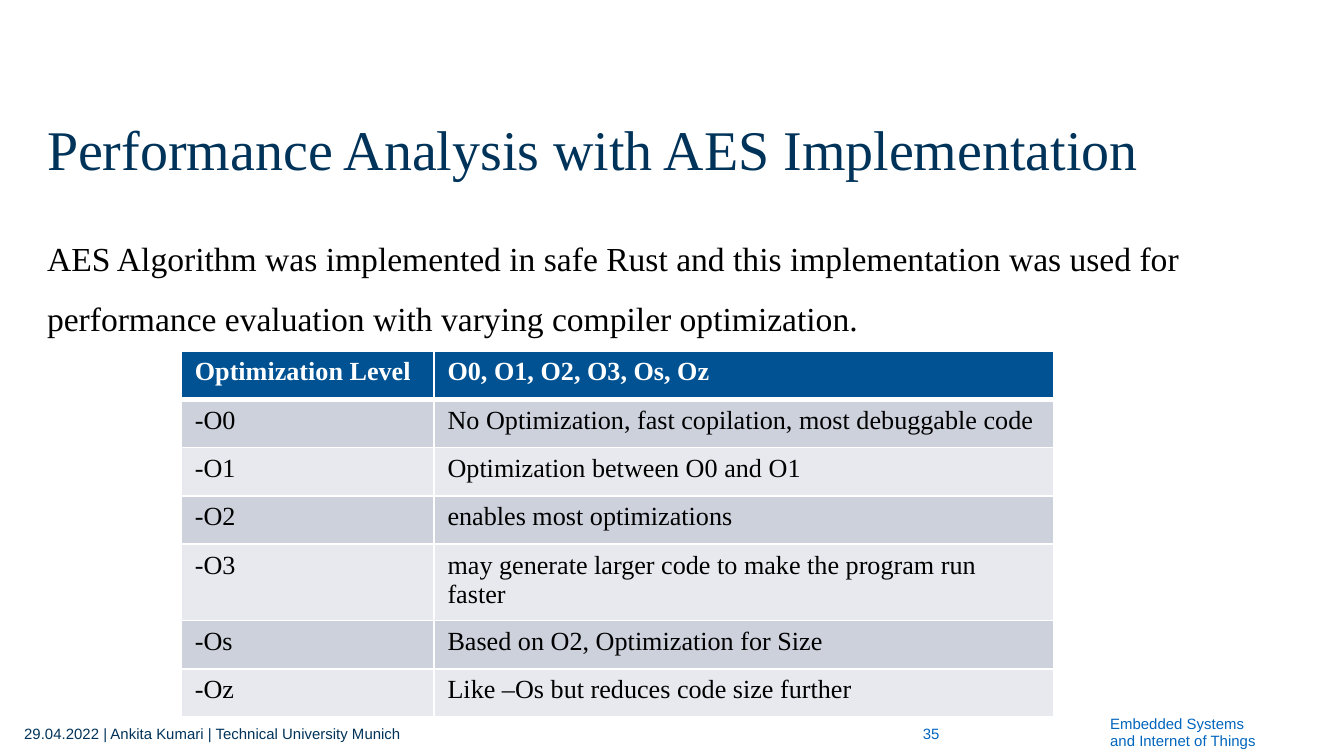
from lxml import etree
from pptx import Presentation
from pptx.dml.color import RGBColor
from pptx.enum.text import MSO_ANCHOR, PP_ALIGN
from pptx.oxml.ns import qn
from pptx.util import Inches, Pt

TOP, MIDDLE = MSO_ANCHOR.TOP, MSO_ANCHOR.MIDDLE
LEFT, RIGHT = PP_ALIGN.LEFT, PP_ALIGN.RIGHT
SERIF, SANS = "Times New Roman", "Arial"
COLORS = {
    "navy": "003359",
    "blue": "0065BD",
    "header": "005293",
    "band_dark": "CCD1DC",
    "band_light": "E7E9EE",
    "black": "000000",
    "white": "FFFFFF",
}


class SlideBuilder:
    """Holds the colours and the current slide."""

    def __init__(self, slide, colors):
        self.slide = slide
        self.colors = colors

    def color(self, name):
        return RGBColor.from_string(self.colors[name])

    def style(self, paragraph, font, size, color, bold=False):
        paragraph.font.name = font
        paragraph.font.size = Pt(size)
        paragraph.font.bold = bold
        paragraph.font.color.rgb = self.color(color)

    def text(self, box, lines, font, size, color, spacing=1.0,
             align=LEFT, anchor=TOP, inset=0):
        shape = self.slide.shapes.add_textbox(*map(Inches, box))
        frame = shape.text_frame
        frame.word_wrap = True
        frame.vertical_anchor = anchor
        frame.margin_left = frame.margin_right = 0
        frame.margin_top = frame.margin_bottom = Inches(inset)
        frame.text = "\n".join(lines)
        for paragraph in frame.paragraphs:
            paragraph.alignment = align
            paragraph.line_spacing = spacing
            self.style(paragraph, font, size, color)

    def borders(self, cell, top, bottom):
        properties = cell._tc.get_or_add_tcPr()
        widths = {"a:lnL": 1, "a:lnR": 1, "a:lnT": top, "a:lnB": bottom}
        for index, (tag, width) in enumerate(widths.items()):
            line = etree.Element(qn(tag), w=str(Pt(width)))
            fill = etree.SubElement(line, qn("a:solidFill"))
            etree.SubElement(fill, qn("a:srgbClr"), val=self.colors["white"])
            properties.insert(index, line)

    def table(self, left, top, widths, heights, rows):
        table = self.slide.shapes.add_table(
            len(rows), len(widths), Inches(left), Inches(top),
            Inches(sum(widths)), Inches(sum(heights))).table
        for column, width in zip(table.columns, widths):
            column.width = Inches(width)
        for index, (row, height, texts) in enumerate(
                zip(table.rows, heights, rows)):
            row.height = Inches(height)
            header = index == 0
            band = "band_dark" if index % 2 else "band_light"
            for cell, text in zip(row.cells, texts):
                cell.text = text
                cell.fill.solid()
                cell.fill.fore_color.rgb = self.color(
                    "header" if header else band)
                self.style(cell.text_frame.paragraphs[0], SERIF, 14,
                           "white" if header else "black", header)
                # The rule under the header is thicker, seen from both rows
                self.borders(cell, top=3 if index == 1 else 1,
                             bottom=3 if header else 1)


def main():
    presentation = Presentation()
    # A 16:9 slide, ten inches wide
    presentation.slide_width = Inches(10)
    presentation.slide_height = Inches(10) * 9 // 16
    slide = presentation.slides.add_slide(presentation.slide_layouts[6])
    builder = SlideBuilder(slide, COLORS)

    # Title and introduction
    builder.text((0.35, 0.82, 9.31, 0.5),
                 ["Performance Analysis with AES Implementation"],
                 SERIF, 30, "navy", spacing=1.07)
    builder.text((0.35, 1.62, 9.31, 3.79),
                 ["AES Algorithm was implemented in safe Rust and this "
                  "implementation was used for performance evaluation with "
                  "varying compiler optimization."],
                 SERIF, 18, "black", spacing=1.5)

    # Optimization levels; the O3 row grows to hold two lines
    rows = [
        ("Optimization Level", "O0, O1, O2, O3, Os, Oz"),
        ("-O0", "No Optimization, fast copilation, most debuggable code"),
        ("-O1", "Optimization between O0 and O1"),
        ("-O2", "enables most optimizations"),
        ("-O3", "may generate larger code to make the program run faster"),
        ("-Os", "Based on O2, Optimization for Size"),
        ("-Oz", "Like –Os but reduces code size further"),
    ]
    builder.table(1.35, 2.61, [1.88, 4.61], [0.36] * len(rows), rows)

    # Footer
    builder.text((0.18, 5.31, 5.72, 0.3),
                 ["29.04.2022 | Ankita Kumari | Technical University Munich"],
                 SANS, 8, "navy", anchor=MIDDLE, inset=0.04)
    builder.text((6.06, 5.31, 0.93, 0.3), ["35"], SANS, 8, "blue",
                 align=RIGHT, anchor=MIDDLE, inset=0.04)
    builder.text((8.26, 5.33, 1.21, 0.24),
                 ["Embedded Systems", "and Internet of Things"],
                 SANS, 8, "blue", spacing=0.94)

    presentation.save("out.pptx")


if __name__ == "__main__":
    main()
